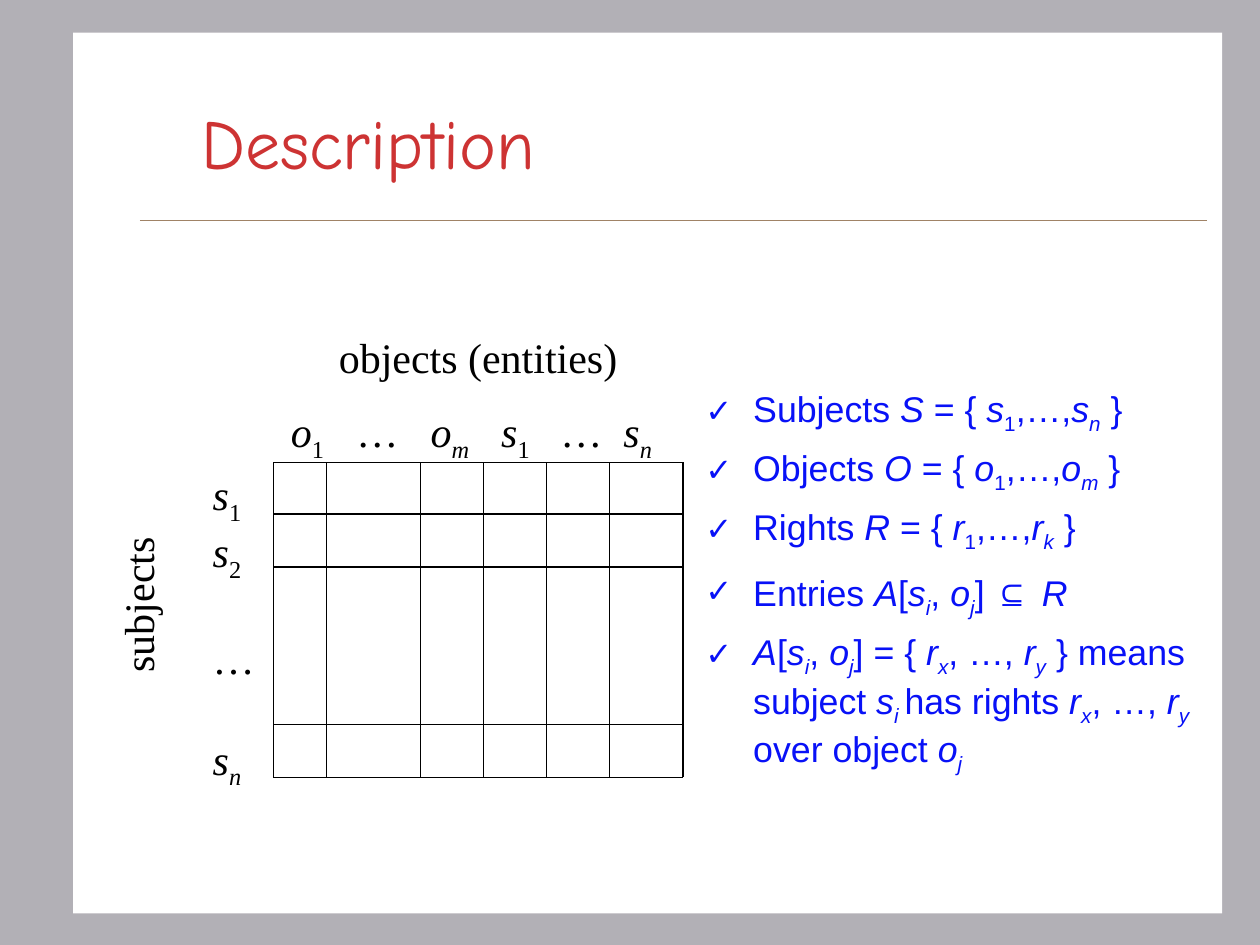
from dataclasses import dataclass

from lxml import etree
from pptx import Presentation
from pptx import util as u
from pptx.dml.color import RGBColor
from pptx.enum import shapes, text
from pptx.oxml import ns

COLORS = {
    "background": "B2B0B6",
    "panel": "FFFFFF",
    "rule": "A08366",
    "title": "CD3333",
    "matrix": "000000",
    "body": "0811F7",
}

# Each text piece may start with one of these marks
STYLES = {
    "/": {"italic": True},
    "_": {"subscript": True},
    "~": {"italic": True, "subscript": True},
    "^": {"size": u.Pt(23.8)},
}


@dataclass
class TextBlock:
    left: float
    top: float
    width: float
    height: float
    paragraphs: list[str]
    size: float = 24
    font: str = "Times New Roman"
    color: str = "matrix"
    rotation: int = 0
    wrap: bool = False
    anchor: text.MSO_ANCHOR = text.MSO_ANCHOR.TOP
    align: text.PP_ALIGN = text.PP_ALIGN.LEFT
    bullet: str = ""
    tabs: tuple[float, ...] = ()
    space_before: tuple[float, ...] = ()


def rgb(name: str) -> RGBColor:
    return RGBColor.from_string(COLORS[name])


def add_child(parent, tag: str, **attributes: str):
    child = etree.SubElement(parent, ns.qn(tag))
    for name, value in attributes.items():
        child.set(name, value)
    return child


def add_line(slide, x1: float, y1: float, x2: float, y2: float,
             color: str = "matrix", width: float = 0.75) -> None:
    ends = [u.Inches(value) for value in (x1, y1, x2, y2)]
    line = slide.shapes.add_connector(shapes.MSO_CONNECTOR.STRAIGHT, *ends)
    line.line.color.rgb = rgb(color)
    line.line.width = u.Pt(width)
    add_child(line._element.spPr, "a:effectLst")


def add_runs(paragraph, markup: str, block: TextBlock) -> None:
    for piece in markup.split("|"):
        style = STYLES.get(piece[0], {})
        formats = {"name": block.font, "size": u.Pt(block.size),
                   "italic": False} | style
        subscript = formats.pop("subscript", False)
        run = paragraph.add_run()
        run.text = piece[1:] if style else piece
        for name, value in formats.items():
            setattr(run.font, name, value)
        run.font.color.rgb = rgb(block.color)
        if subscript:
            run._r.get_or_add_rPr().set("baseline", "-25000")


def add_bullet(paragraph, block: TextBlock) -> None:
    properties = paragraph._p.get_or_add_pPr()
    indent = u.Inches(0.38)
    properties.set("marL", str(indent))
    properties.set("indent", str(-indent))
    color = add_child(properties, "a:buClr")
    add_child(color, "a:srgbClr", val=COLORS[block.color])
    add_child(properties, "a:buSzPct", val="90000")
    add_child(properties, "a:buFont", typeface=block.font)
    add_child(properties, "a:buChar", char=block.bullet)


def add_tabs(paragraph, positions: tuple[float, ...]) -> None:
    tab_list = add_child(paragraph._p.get_or_add_pPr(), "a:tabLst")
    for position in positions:
        add_child(tab_list, "a:tab", pos=str(u.Inches(position)), algn="l")


def add_text(slide, block: TextBlock) -> None:
    box = slide.shapes.add_textbox(
        u.Inches(block.left), u.Inches(block.top),
        u.Inches(block.width), u.Inches(block.height))
    box.rotation = block.rotation
    frame = box.text_frame
    frame.word_wrap = block.wrap
    frame.vertical_anchor = block.anchor
    for index, markup in enumerate(block.paragraphs):
        paragraph = frame.add_paragraph() if index else frame.paragraphs[0]
        if block.bullet:
            add_bullet(paragraph, block)
        if block.tabs:
            add_tabs(paragraph, block.tabs)
        if block.space_before:
            paragraph.space_before = u.Pt(block.space_before[index])
        paragraph.alignment = block.align
        add_runs(paragraph, markup, block)


# Access matrix grid: edges of its columns and rows
COLUMN_EDGES = (2.17, 2.59, 3.34, 3.84, 4.34, 4.84, 5.42)
ROW_EDGES = (3.67, 4.08, 4.5, 5.75, 6.17)

TEXT_BLOCKS = [
    # Title
    TextBlock(1.5, 0.5, 8.5, 1.25, ["Description"], size=40,
              font="Comic Neue", color="title", wrap=True,
              anchor=text.MSO_ANCHOR.MIDDLE),
    # Matrix captions
    TextBlock(2.59, 2.58, 2.41, 0.5, ["objects (entities)"]),
    TextBlock(0.34, 4.55, 1.5, 0.5, ["subjects"], rotation=270,
              align=text.PP_ALIGN.CENTER),
    # Row labels
    TextBlock(1.59, 3.67, 0.53, 2.67, ["/s|_1", "/s|_2", "…", "/s|~n"],
              space_before=(0, 0, 28, 29)),
    # Column labels
    TextBlock(2.21, 3.17, 3.07, 0.56,
              ["/o|_1|\t…\t|/o|~m|\t|/s|_1|\t…\t|/s|~n"], wrap=True,
              tabs=(0.52, 1.11, 1.67, 2.14, 2.64)),
    # Definitions
    TextBlock(5.5, 3.02, 4.17, 3.73, [
        "Subjects |/S| = { |/s|_1|,…,|/s|~n| }",
        "Objects |/O| = { |/o|_1|,…,|/o|~m| }",
        "Rights |/R| = { |/r|_1|,…,|/r|~k| }",
        "Entries |/A|[|/s|~i|, |/o|~j|] ⊆|^ |/R",
        "/A|[|/s|~i|, |/o|~j|] = { |/r|~x|, …, |/r|~y| } means subject "
        "|/s|~i |has rights |/r|~x|, …, |/r|~y| over object |/o|~j",
    ], size=20.4, font="Arial", color="body", wrap=True, bullet="✓",
        space_before=(0, 6, 6, 6, 6)),
]


def main() -> None:
    presentation = Presentation()
    presentation.slide_width = u.Inches(10)
    presentation.slide_height = u.Inches(7.5)
    slide = presentation.slides.add_slide(presentation.slide_layouts[6])

    # Background, white panel and title rule
    slide.background.fill.solid()
    slide.background.fill.fore_color.rgb = rgb("background")
    panel = slide.shapes.add_shape(
        shapes.MSO_SHAPE.RECTANGLE, u.Inches(0.58), u.Inches(0.26),
        u.Inches(9.12), u.Inches(6.99))
    panel.shadow.inherit = False
    panel.fill.solid()
    panel.fill.fore_color.rgb = rgb("panel")
    panel.line.fill.background()
    add_line(slide, 1.11, 1.75, 9.58, 1.75, "rule", 0.25)

    # Matrix grid
    for x in COLUMN_EDGES:
        add_line(slide, x, ROW_EDGES[0], x, ROW_EDGES[-1])
    for y in ROW_EDGES:
        add_line(slide, COLUMN_EDGES[0], y, COLUMN_EDGES[-1], y)

    for block in TEXT_BLOCKS:
        add_text(slide, block)

    presentation.save("out.pptx")


if __name__ == "__main__":
    main()
